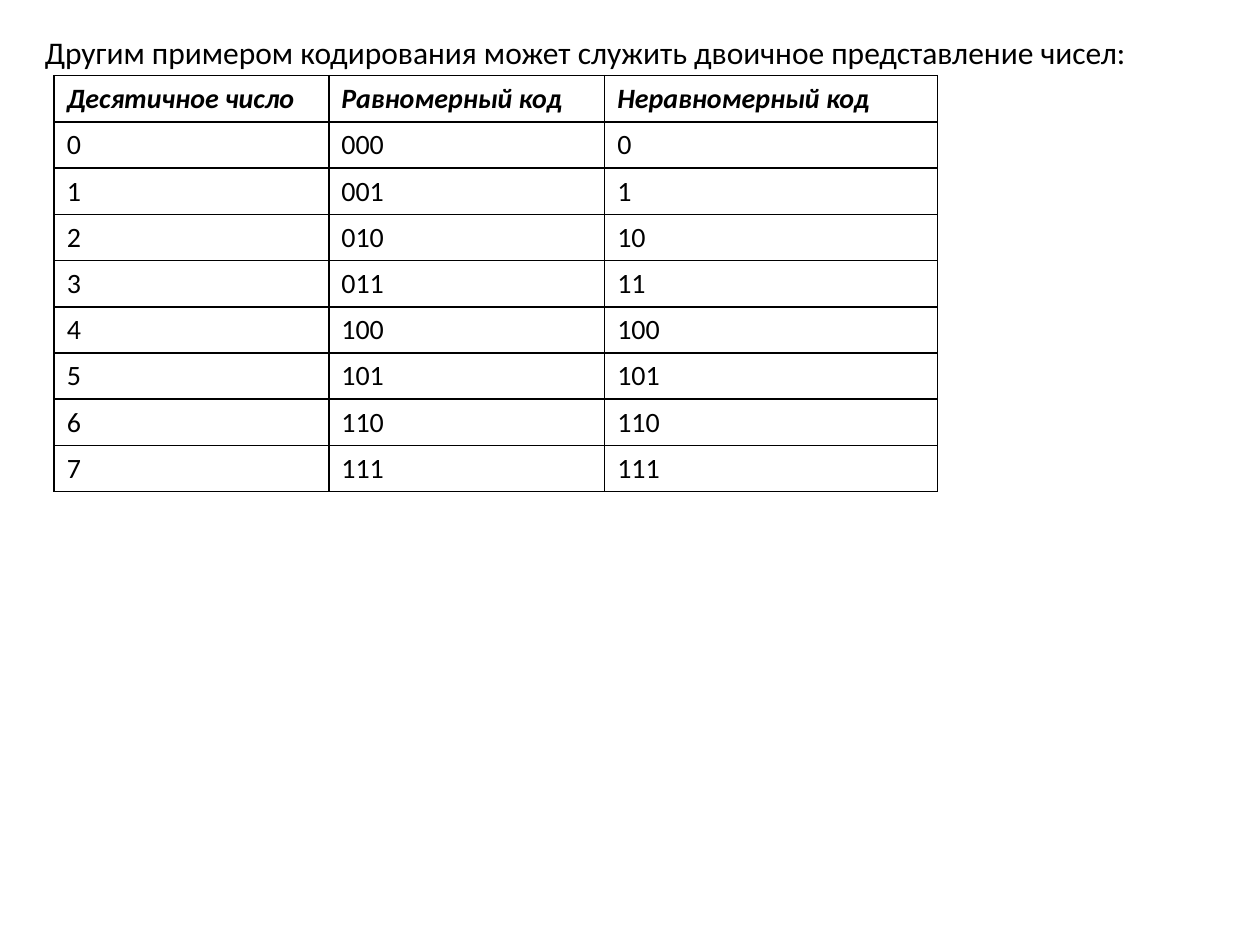
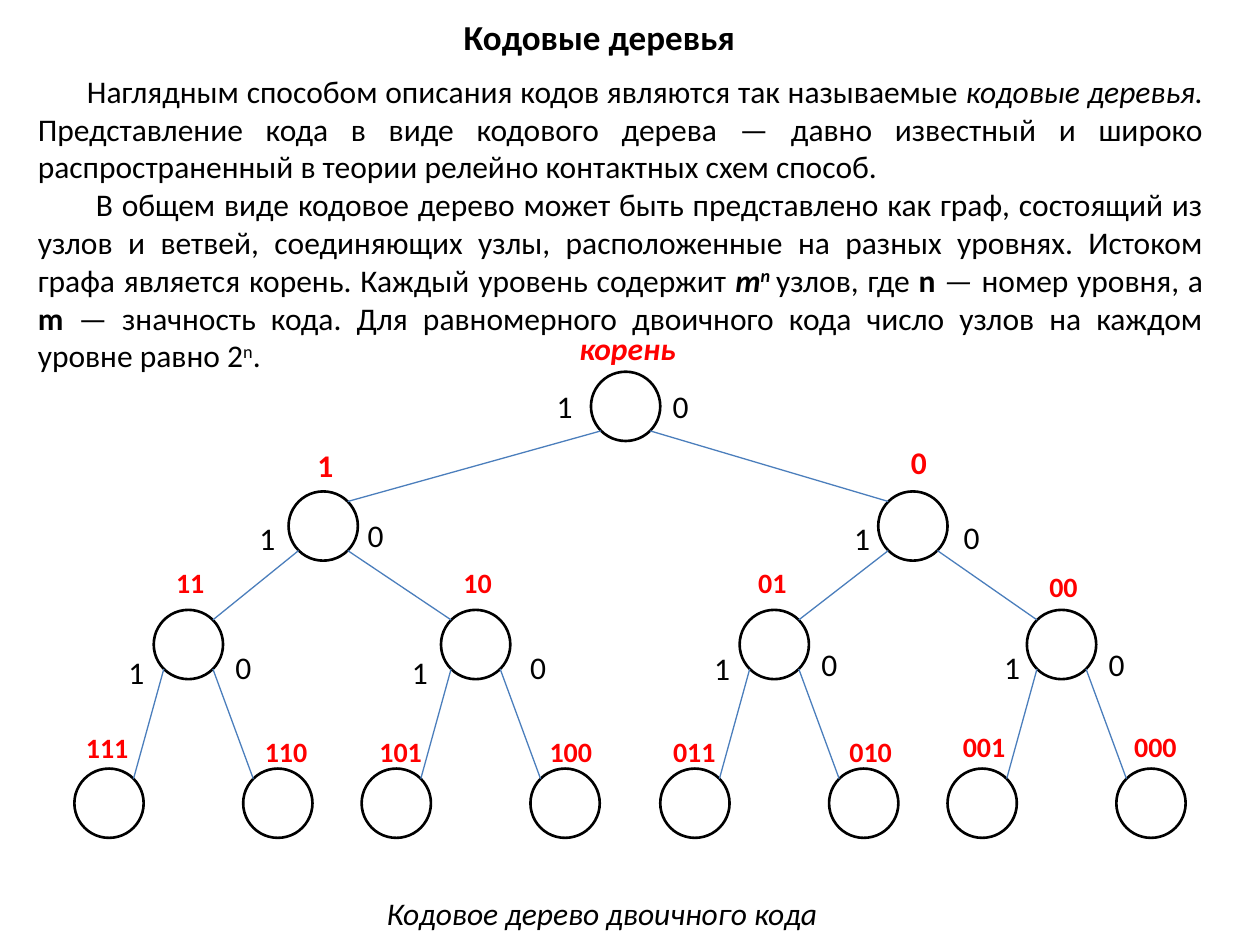
"""Build two slides on binary codes: a code table and a code tree."""
from lxml.etree import SubElement
from pptx import Presentation
from pptx.dml.color import RGBColor
from pptx.enum.shapes import MSO_CONNECTOR as Conn, MSO_SHAPE as Kind
from pptx.enum.text import MSO_ANCHOR as Anchor, MSO_AUTO_SIZE as Fit, PP_ALIGN as Align
from pptx.oxml import parse_xml
from pptx.oxml.ns import nsdecls, qn
from pptx.util import Pt

PX = 9144
FONT = "Calibri"
BLACK = RGBColor(0, 0, 0)
RED = RGBColor(255, 0, 0)
BLUE = RGBColor(0x4B, 0x7E, 0xBC)

LEAD = " Другим примером кодирования может служить двоичное представление чисел:"
HEADS = ["Десятичное число", "Равномерный код", "Неравномерный код"]
ROWS = [(str(n), f"{n:03b}", f"{n:b}") for n in range(8)]
COLS = [218, 219, 264]
GRID = (43, 60, 701, 330)

TITLE = "Кодовые деревья"
BODY = [
    [("Наглядным способом описания кодов являются так называемые ", ""),
     ("кодовые деревья. ", "i"),
     ("Представление кода в виде кодового дерева — давно известный и широко "
      "распространенный в теории релейно контактных схем способ. ", "")],
    [(" В общем виде кодовое дерево может быть представлено как граф, состоящий из "
      "узлов и ветвей, соединяющих узлы, расположенные на разных уровнях. Истоком "
      "графа является корень. Каждый уровень содержит ", ""),
     ("m", "bi"), ("n ", "bis"), ("узлов, где ", ""), ("n ", "b"), ("— ", "i"),
     ("номер уровня, а ", ""), ("m ", "b"),
     ("— значность кода. Для равномерного двоичного кода число узлов на каждом "
      "уровне равно 2", ""), ("n", "s"), (".", "")],
]
NOTE = "Кодовое дерево двоичного кода"

SIZE = 55
EDGE = 8
TOPS = [295, 390, 484, 610]
LEFTS = {"": 469, "1": 229, "0": 697, "11": 122, "10": 350, "01": 587, "00": 815}
LEAF = {"1": -63, "0": 71}
TAGS = {
    "": (449, 256), "1": (242, 349), "0": (713, 347),
    "11": (130, 449), "10": (358, 449), "01": (592, 449), "00": (823, 452),
    "111": (64, 580), "110": (206, 583), "101": (297, 583), "100": (432, 583),
    "011": (530, 583), "010": (670, 583), "001": (760, 579), "000": (896, 579),
}
BITS = {
    "1": (432, 302), "0": (524, 302),
    "11": (196, 407), "10": (282, 405), "01": (668, 407), "00": (755, 406),
    "111": (92, 513), "110": (177, 509), "101": (317, 513), "100": (411, 509),
    "011": (557, 510), "010": (642, 507), "001": (787, 509), "000": (870, 507),
}


def scale(*nums):
    return [n * PX for n in nums]


def add_run(para, text, flags="", size=18, color=BLACK):
    run = para.add_run()
    run.text = text
    font = run.font
    font.name, font.size = FONT, Pt(size)
    font.bold, font.italic = "b" in flags, "i" in flags
    font.color.rgb = color
    if "s" in flags:
        run._r.get_or_add_rPr().set("baseline", "30000")


def fill_text(shape, paras, align=Align.LEFT, wrap=True, inset=True, **look):
    frame = shape.text_frame
    frame.word_wrap, frame.auto_size = wrap, Fit.SHAPE_TO_FIT_TEXT
    frame.vertical_anchor = Anchor.TOP
    if not inset:
        frame.margin_left = frame.margin_right = 0
        frame.margin_top = frame.margin_bottom = 0
    for i, runs in enumerate(paras):
        para = frame.add_paragraph() if i else frame.paragraphs[0]
        para.alignment = align
        for text, flags in runs:
            add_run(para, text, flags, **look)


def place(shape, *box):
    shape.left, shape.top, shape.width, shape.height = scale(*box)
    return shape


def add_title(slide, text, box, **look):
    fill_text(place(slide.shapes.title, *box), [[(text, look.pop("flags", ""))]],
              wrap=False, **look)


def add_label(slide, text, box, flags="", **look):
    fill_text(slide.shapes.add_textbox(*scale(*box)), [[(text, flags)]], **look)


def add_body(slide):
    shape = place(slide.placeholders[1], 20, 52, 945, 252)
    fill_text(shape, BODY, Align.JUSTIFY)
    for para in shape.text_frame.paragraphs:
        para.space_before = Pt(0)
        props = para._p.get_or_add_pPr()
        props.set("marL", "0")
        props.set("indent", str(39 * PX))
        SubElement(props, qn("a:buNone"))


def frame_cell(cell):
    cell.fill.background()
    props = cell._tc.get_or_add_tcPr()
    for i, side in enumerate("LRTB"):
        props.insert(i, parse_xml(
            f'<a:ln{side} {nsdecls("a")} w="12700"><a:solidFill>'
            f'<a:srgbClr val="{BLACK}"/></a:solidFill></a:ln{side}>'))


def add_codes(slide):
    rows = [HEADS, *ROWS]
    table = slide.shapes.add_table(len(rows), len(COLS), *scale(*GRID)).table
    table.first_row = table.horz_banding = False
    for col, width in zip(table.columns, COLS):
        col.width = width * PX
    for r, row in enumerate(rows):
        table.rows[r].height = GRID[3] * PX // len(rows)
        for c, text in enumerate(row):
            cell = table.cell(r, c)
            add_run(cell.text_frame.paragraphs[0], text, "" if r else "bi", 16)
            frame_cell(cell)


def find_spots():
    spots = {}
    for code in TAGS:
        left = LEFTS[code] if code in LEFTS else LEFTS[code[:-1]] + LEAF[code[-1]]
        spots[code] = left, TOPS[len(code)]
    return spots


def add_node(slide, spot):
    node = slide.shapes.add_shape(Kind.OVAL, *scale(*spot, SIZE, SIZE))
    node.shadow.inherit = False
    node.fill.background()
    node.line.color.rgb, node.line.width = BLACK, Pt(1.5)


def add_branch(slide, start, end, bit):
    near, far = EDGE, SIZE - EDGE
    out, into = (near, far) if bit == "1" else (far, near)
    line = slide.shapes.add_connector(Conn.STRAIGHT, *scale(
        start[0] + out, start[1] + far, end[0] + into, end[1] + near))
    line.line.color.rgb, line.line.width = BLUE, Pt(0.75)
    SubElement(line._element.spPr, qn("a:effectLst"))


def add_tag(slide, code, spot):
    if not code:
        add_label(slide, "корень", (*spot, 98, 40), "bi", color=RED,
                  align=Align.CENTER, wrap=False)
    elif len(code) == 1:
        add_label(slide, code, (*spot, 28, 40), "b", color=RED)
    else:
        add_label(slide, code, (*spot, 42, 27), "b", color=RED, size=16,
                  align=Align.CENTER, inset=False)


def add_tree(slide):
    spots = find_spots()
    for spot in spots.values():
        add_node(slide, spot)
    for code in BITS:
        add_branch(slide, spots[code[:-1]], spots[code], code[-1])
    for code, spot in TAGS.items():
        add_tag(slide, code, spot)
    for code, spot in BITS.items():
        add_label(slide, code[-1], (*spot, 28, 40))


def main():
    deck = Presentation()
    deck.slide_width, deck.slide_height = scale(1000, 750)
    codes = deck.slides.add_slide(deck.slide_layouts[5])
    add_title(codes, LEAD, (20, 21, 906, 40))
    add_codes(codes)
    tree = deck.slides.add_slide(deck.slide_layouts[1])
    add_title(tree, TITLE, (358, 7, 237, 44), flags="b", size=20)
    add_body(tree)
    add_tree(tree)
    add_label(tree, NOTE, (297, 705, 370, 40), "i", wrap=False)
    deck.save("out.pptx")


if __name__ == "__main__":
    main()
